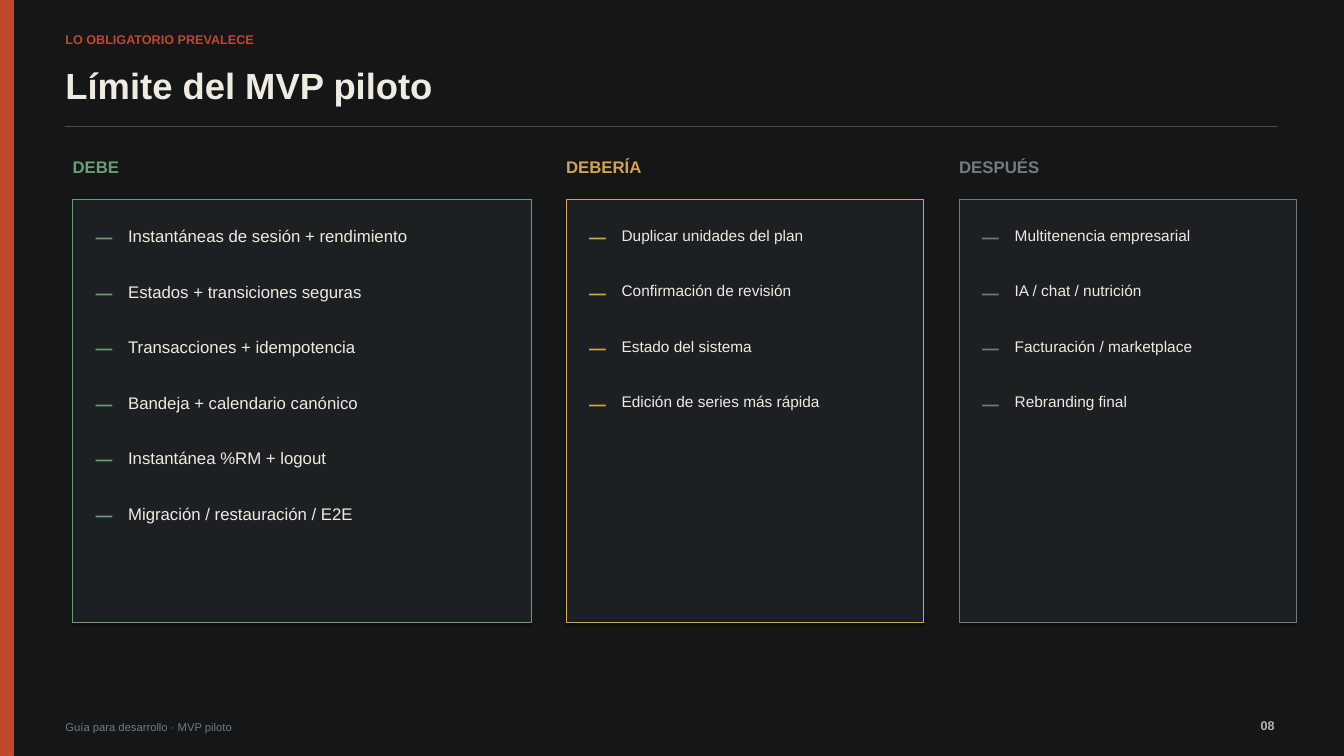
from dataclasses import dataclass
from lxml.etree import SubElement as Sub
from pptx import Presentation
from pptx.dml.color import RGBColor as Rgb
from pptx.enum.shapes import MSO_CONNECTOR as Link, MSO_SHAPE as Form
from pptx.enum.text import MSO_AUTO_SIZE as Fit, PP_ALIGN as Align
from pptx.oxml.ns import qn
from pptx.slide import Slide
from pptx.util import Cm, Pt


@dataclass(frozen=True)
class Theme:
    font: str = "Arial"
    back: str = "141617"
    card: str = "1D2022"
    rust: str = "BE492D"
    cream: str = "EFEBE0"
    sand: str = "B8B5AC"
    rule: str = "464C4F"
    green: str = "689F75"
    gold: str = "D5A348"
    gray: str = "747B7E"
    title: float = 26
    head: float = 12
    body: float = 11
    small: float = 9
    foot: float = 8


@dataclass(frozen=True)
class Column:
    head: str
    left: float
    width: float
    color: str
    size: float
    items: tuple[str, ...]


T = Theme()
EDGE = 1.65
STEP = 1.4  # distance between list rows

COLUMNS = (
    Column("DEBE", 1.83, 11.56, T.green, T.head, (
        "Instantáneas de sesión + rendimiento",
        "Estados + transiciones seguras",
        "Transacciones + idempotencia",
        "Bandeja + calendario canónico",
        "Instantánea %RM + logout",
        "Migración / restauración / E2E")),
    Column("DEBERÍA", 14.27, 9.02, T.gold, T.body, (
        "Duplicar unidades del plan",
        "Confirmación de revisión",
        "Estado del sistema",
        "Edición de series más rápida")),
    Column("DESPUÉS", 24.18, 8.51, T.gray, T.body, (
        "Multitenencia empresarial",
        "IA / chat / nutrición",
        "Facturación / marketplace",
        "Rebranding final")),
)


def write(slide: Slide, text: str, *, left: float, top: float, width: float,
          size: float, color: str, bold: bool = False,
          align: Align = Align.LEFT) -> None:
    """Place one line of text in a box without margins."""
    high = round(size * 0.042, 2)
    box = slide.shapes.add_textbox(Cm(left), Cm(top), Cm(width), Cm(high))
    frame = box.text_frame
    frame.word_wrap = True
    frame.auto_size = Fit.SHAPE_TO_FIT_TEXT
    frame.margin_left = frame.margin_right = 0
    frame.margin_top = frame.margin_bottom = 0
    para = frame.paragraphs[0]
    para.alignment = align
    run = para.add_run()
    run.text = text
    font = run.font
    font.name, font.size, font.bold = T.font, Pt(size), bold
    font.color.rgb = Rgb.from_string(color)


def panel(slide: Slide, left: float, top: float, width: float, high: float,
          fill: str, edge: str) -> None:
    """Draw a rectangle with a thin edge and a short shadow below."""
    rect = slide.shapes.add_shape(
        Form.RECTANGLE, Cm(left), Cm(top), Cm(width), Cm(high))
    rect.fill.solid()
    rect.fill.fore_color.rgb = Rgb.from_string(fill)
    rect.line.color.rgb = Rgb.from_string(edge)
    rect.line.width = Pt(0.75)
    rect.shadow.inherit = False
    glow = Sub(rect._element.spPr.find(qn("a:effectLst")), qn("a:outerShdw"),
               blurRad="0", dist=str(Pt(1.8)), dir="5400000", rotWithShape="0")
    tint = Sub(glow, qn("a:srgbClr"), val="000000")
    Sub(tint, qn("a:alpha"), val="35000")


def divide(slide: Slide, left: float, right: float, top: float) -> None:
    """Draw the rule under the title."""
    line = slide.shapes.add_connector(
        Link.STRAIGHT, Cm(left), Cm(top), Cm(right), Cm(top))
    line.line.color.rgb = Rgb.from_string(T.rule)
    line.line.width = Pt(1)
    Sub(line._element.spPr, qn("a:effectLst"))


def draw(slide: Slide, col: Column) -> None:
    """Draw a heading, its card and the list inside."""
    write(slide, col.head, left=col.left, top=3.94, width=col.width,
          size=T.head, color=col.color, bold=True)
    panel(slide, col.left, 5.03, col.width, 10.67, T.card, col.color)
    for row, item in enumerate(col.items):
        top = 5.69 + row * STEP
        write(slide, "—", left=col.left + 0.58, top=top + 0.03, width=0.64,
              size=T.head, color=col.color, bold=True)
        write(slide, item, left=col.left + 1.4, top=top,
              width=col.width - 1.9, size=col.size, color=T.cream)


def main() -> None:
    deck = Presentation()
    deck.slide_width, deck.slide_height = Cm(33.88), Cm(19.05)
    slide = deck.slides.add_slide(deck.slide_layouts[6])
    slide.background.fill.solid()
    slide.background.fill.fore_color.rgb = Rgb.from_string(T.back)

    # Side bar and header
    panel(slide, 0, 0, 0.33, 19.05, T.rust, T.rust)
    write(slide, "LO OBLIGATORIO PREVALECE", left=EDGE, top=0.81, width=19.05,
          size=T.small, color=T.rust, bold=True)
    write(slide, "Límite del MVP piloto", left=EDGE, top=1.6, width=30.23,
          size=T.title, color=T.cream, bold=True)
    divide(slide, EDGE, 32.21, 3.18)

    # Footer
    write(slide, "Guía para desarrollo · MVP piloto", left=EDGE, top=18.16,
          width=8.89, size=T.foot, color=T.gray)
    write(slide, "08", left=30.73, top=18.08, width=1.4, size=T.small,
          color=T.sand, bold=True, align=Align.RIGHT)

    # Scope columns
    for col in COLUMNS:
        draw(slide, col)

    deck.save("out.pptx")


if __name__ == "__main__":
    main()
